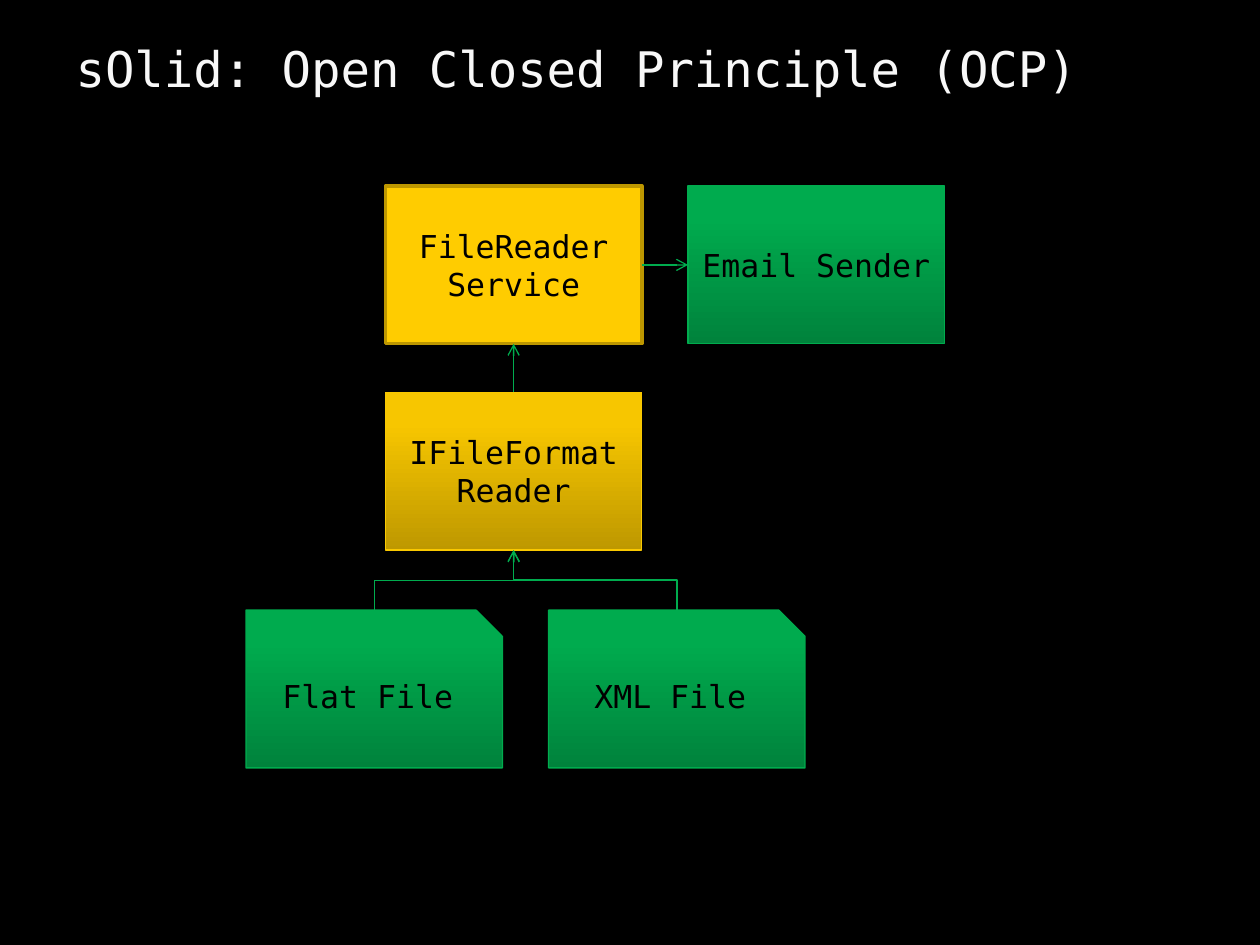
import pptx
import pptx.dml.color
import pptx.enum.shapes
import pptx.enum.text
import pptx.oxml
import pptx.oxml.ns
import pptx.util

Cm = pptx.util.Cm
Pt = pptx.util.Pt
SHAPE = pptx.enum.shapes.MSO_SHAPE
ALIGN = pptx.enum.text.PP_ALIGN

TITLE = "sOlid: Open Closed Principle (OCP)"
FONT = "DejaVu Sans Mono"
GREEN_LINE = "00AC4E"

# fill lists gradient colours from bottom to top; one colour means solid
STYLES = {
    "class": {"fill": ["00833C", "00AB4E"], "line": GREEN_LINE, "width": 0.75},
    "interface": {"fill": ["BE9800", "F7C600"], "line": "F9C800", "width": 0.75},
    "service": {"fill": ["FFCC00"], "line": "BD9700", "width": 2},
}

# name: (text, style, preset, left of its row, column, top), in cm
BOXES = {
    "email": ("Email Sender", "class", SHAPE.RECTANGLE, 7.77, 1, 3.75),
    "flat": ("Flat File", "class", SHAPE.SNIP_1_RECTANGLE, 4.96, 0, 12.3),
    "xml": ("XML File", "class", SHAPE.SNIP_1_RECTANGLE, 4.96, 1, 12.3),
    "format": ("IFileFormat Reader", "interface", SHAPE.RECTANGLE, 7.77, 0, 7.91),
    "service": ("FileReader\nService", "service", SHAPE.RECTANGLE, 7.77, 0, 3.75),
}
BOX_WIDTH, BOX_HEIGHT, COLUMN_STEP = 5.17, 3.18, 6.1

TOP, LEFT, BOTTOM, RIGHT = range(4)  # connection sites
ARROWS = [
    ("flat", TOP, "format", BOTTOM),
    ("xml", TOP, "format", BOTTOM),
    ("service", RIGHT, "email", LEFT),
    ("format", TOP, "service", BOTTOM),
]


def color(hex_string):
    return pptx.dml.color.RGBColor.from_string(hex_string)


def write_text(shape, text, size=18, hex_color="000000", align=ALIGN.CENTER):
    frame = shape.text_frame
    frame.word_wrap = True
    frame.vertical_anchor = pptx.enum.text.MSO_ANCHOR.MIDDLE
    frame.text = text
    for paragraph in frame.paragraphs:
        paragraph.alignment = align
        for run in paragraph.runs:
            run.font.name = FONT
            run.font.size = Pt(size)
            run.font.color.rgb = color(hex_color)


def set_line(shape, hex_color, width):
    shape.line.color.rgb = color(hex_color)
    shape.line.width = Pt(width)


def add_box(slide, text, style_name, preset, row_left, column, top):
    style = STYLES[style_name]
    shape = slide.shapes.add_shape(
        preset, Cm(row_left + column * COLUMN_STEP), Cm(top), Cm(BOX_WIDTH), Cm(BOX_HEIGHT)
    )
    shape.shadow.inherit = False
    if len(style["fill"]) == 1:
        shape.fill.solid()
        shape.fill.fore_color.rgb = color(style["fill"][0])
    else:
        shape.fill.gradient()
        shape.fill.gradient_angle = 90
        for stop, hex_color, position in zip(shape.fill.gradient_stops, style["fill"], (0, 0.8)):
            stop.color.rgb = color(hex_color)
            stop.position = position
    set_line(shape, style["line"], style["width"])
    write_text(shape, text)
    return shape


def turn_upward(connector):
    """Rotate an elbow connector so that it leaves and arrives vertically."""
    begin_x, begin_y = connector.begin_x, connector.begin_y
    end_x, end_y = connector.end_x, connector.end_y
    length, spread = abs(end_y - begin_y), abs(end_x - begin_x)
    connector.left = (begin_x + end_x - length) // 2
    connector.top = (begin_y + end_y - spread) // 2
    connector.width, connector.height = length, spread
    transform = connector.element.spPr.find(pptx.oxml.ns.qn("a:xfrm"))
    transform.set("rot", str(270 * 60000))
    transform.set("flipH", "0")
    transform.set("flipV", "1" if end_x < begin_x else "0")


def add_arrow(slide, source, source_site, target, target_site):
    connector = slide.shapes.add_connector(pptx.enum.shapes.MSO_CONNECTOR.ELBOW, 0, 0, 0, 0)
    connector.begin_connect(source, source_site)
    connector.end_connect(target, target_site)
    if source_site == TOP:
        turn_upward(connector)
    set_line(connector, GREEN_LINE, 0.75)
    properties = connector.element.spPr
    line = properties.find(pptx.oxml.ns.qn("a:ln"))
    namespace = pptx.oxml.ns.nsdecls("a")
    line.append(pptx.oxml.parse_xml(f'<a:tailEnd {namespace} type="arrow"/>'))
    properties.append(pptx.oxml.parse_xml(f"<a:effectLst {namespace}/>"))


def main():
    presentation = pptx.Presentation()
    presentation.slide_width, presentation.slide_height = Cm(25.4), Cm(19.05)
    slide = presentation.slides.add_slide(presentation.slide_layouts[5])
    slide.background.fill.solid()
    slide.background.fill.fore_color.rgb = color("000000")

    title = slide.shapes.title
    title.left, title.top, title.width, title.height = Cm(1.27), Cm(0.64), Cm(22.86), Cm(1.45)
    write_text(title, TITLE, size=28, hex_color="F8F8F8", align=ALIGN.LEFT)
    title.text_frame.auto_size = pptx.enum.text.MSO_AUTO_SIZE.SHAPE_TO_FIT_TEXT

    boxes = {name: add_box(slide, *box) for name, box in BOXES.items()}
    for source, source_site, target, target_site in ARROWS:
        add_arrow(slide, boxes[source], source_site, boxes[target], target_site)

    presentation.save("out.pptx")


if __name__ == "__main__":
    main()
